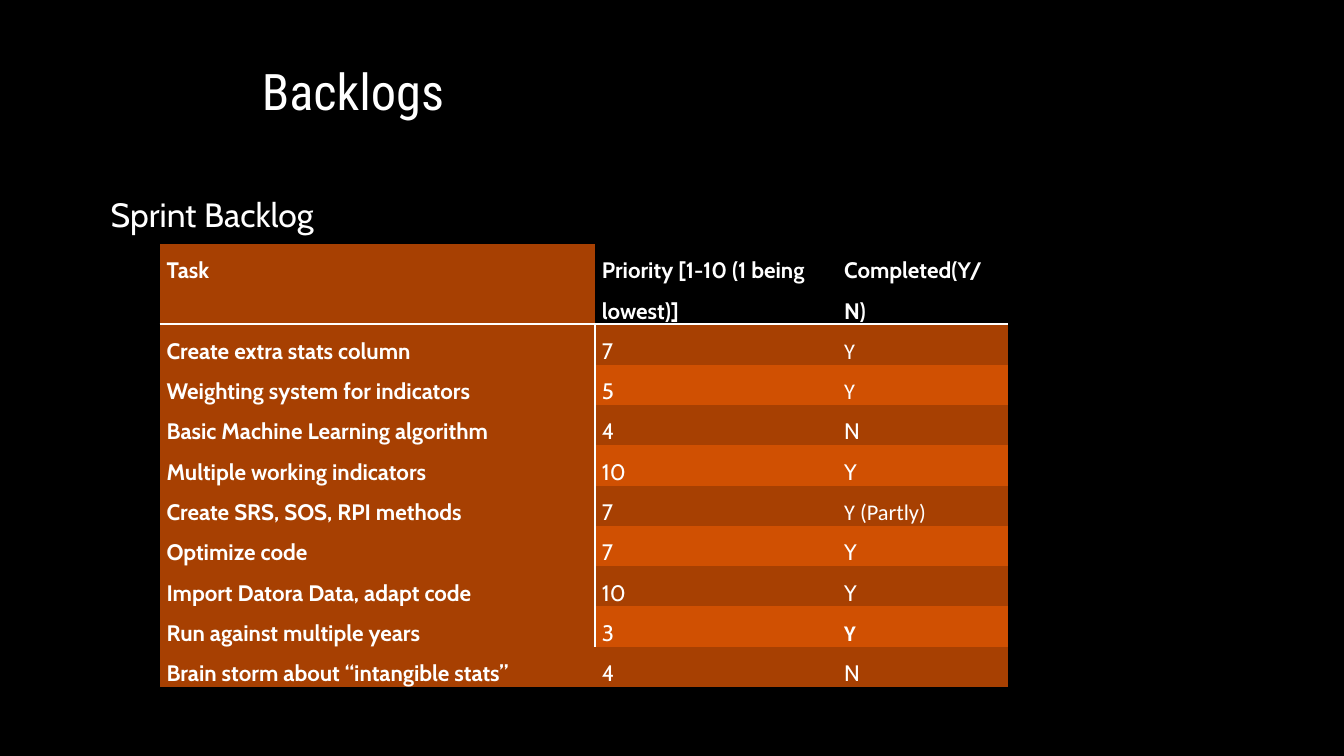
from lxml import etree
from pptx import Presentation
from pptx.dml.color import RGBColor
from pptx.enum.text import MSO_ANCHOR as Anchor
from pptx.oxml import parse_xml
from pptx.oxml.ns import nsdecls, qn
from pptx.util import Pt

COLORS = {"back": "000000", "text": "FFFFFF", "dark": "A74002", "light": "D05002"}
BODY, TITLE, ALTERNATE = "Cabin", "Roboto Condensed", "Calibri"
NO_STYLE = "{2D5ABB26-0587-4C30-8999-92F81FD0307C}"

HEADER = ("Task", "Priority [1-10 (1 being lowest)]", "Completed(Y/N)")
TASKS = [
    ("Create extra stats column", "7", "Y"),
    ("Weighting system for indicators", "5", "Y"),
    ("Basic Machine Learning algorithm", "4", "N"),
    ("Multiple working indicators", "10", "Y"),
    ("Create SRS, SOS, RPI methods", "7", "Y (Partly)"),
    ("Optimize code", "7", "Y"),
    ("Import Datora Data, adapt code", "10", "Y"),
    ("Run against multiple years", "3", "Y"),
    ("Brain storm about “intangible stats”", "4", "N"),
]
ALTERNATE_ROWS = {1, 2, 5, 8}  # rows whose status is set in the alternate font
BOLD_STATUS_ROW = 8

COLUMN_WIDTHS = (311, 173, 122)
HEADER_HEIGHT, ROW_HEIGHT = 57.6, 28.8
TABLE_LEFT, TABLE_TOP = 114, 174


def color(name):
    return RGBColor.from_string(COLORS[name])


def style(paragraph, size, face, bold=False, spacing=0.9):
    paragraph.line_spacing = spacing
    font = paragraph.font
    font.size, font.name, font.bold = Pt(size), face, bold
    font.color.rgb = color("text")


def add_heading(slide, words, box, size, face, anchor):
    frame = slide.shapes.add_textbox(*map(Pt, box)).text_frame
    frame.word_wrap = True
    frame.vertical_anchor = anchor
    frame.text = words
    style(frame.paragraphs[0], size, face)


def add_border(cell, side):
    """Draw a 2 pt rule on one side: lnR or lnB."""
    line = parse_xml(
        f'<a:{side} {nsdecls("a")} w="25400"><a:solidFill>'
        f'<a:srgbClr val="{COLORS["text"]}"/></a:solidFill></a:{side}>')
    cell._tc.get_or_add_tcPr().insert(0, line)


def cell_fill(row, column):
    if column == 0:
        return "dark"
    if row == 0:
        return "back"
    return "dark" if row % 2 else "light"


def add_backlog(slide):
    rows = [HEADER, *TASKS]
    heights = [HEADER_HEIGHT] + [ROW_HEIGHT] * len(TASKS)
    frame = slide.shapes.add_table(
        len(rows), len(HEADER), Pt(TABLE_LEFT), Pt(TABLE_TOP),
        Pt(sum(COLUMN_WIDTHS)), Pt(sum(heights)))
    table = frame.table
    table._tbl.tblPr.find(qn("a:tableStyleId")).text = NO_STYLE
    for column, width in zip(table.columns, COLUMN_WIDTHS):
        column.width = Pt(width)
    for r, (entries, height) in enumerate(zip(rows, heights)):
        table.rows[r].height = Pt(height)
        for c, words in enumerate(entries):
            cell = table.cell(r, c)
            cell.text = words
            cell.margin_left = cell.margin_right = Pt(5)
            cell.margin_top = cell.margin_bottom = 0
            cell.fill.solid()
            cell.fill.fore_color.rgb = color(cell_fill(r, c))
            status = c == 2
            bold = r == 0 or c == 0 or (status and r == BOLD_STATUS_ROW)
            face = ALTERNATE if status and r in ALTERNATE_ROWS else BODY
            style(cell.text_frame.paragraphs[0], 16, face, bold, 1.5)
            if r == 0:
                add_border(cell, "lnB")
            elif c == 0 and r < len(TASKS):
                add_border(cell, "lnR")


def main():
    deck = Presentation()
    deck.slide_width, deck.slide_height = Pt(960), Pt(540)
    slide = deck.slides.add_slide(deck.slide_layouts[6])
    slide.background.fill.solid()
    slide.background.fill.fore_color.rgb = color("back")
    add_heading(slide, "Backlogs", (180, 0, 792, 90), 36, TITLE, Anchor.BOTTOM)
    add_heading(slide, "Sprint Backlog", (72, 138, 384, 342), 24, BODY, Anchor.TOP)
    add_backlog(slide)
    deck.save("out.pptx")


if __name__ == "__main__":
    main()
